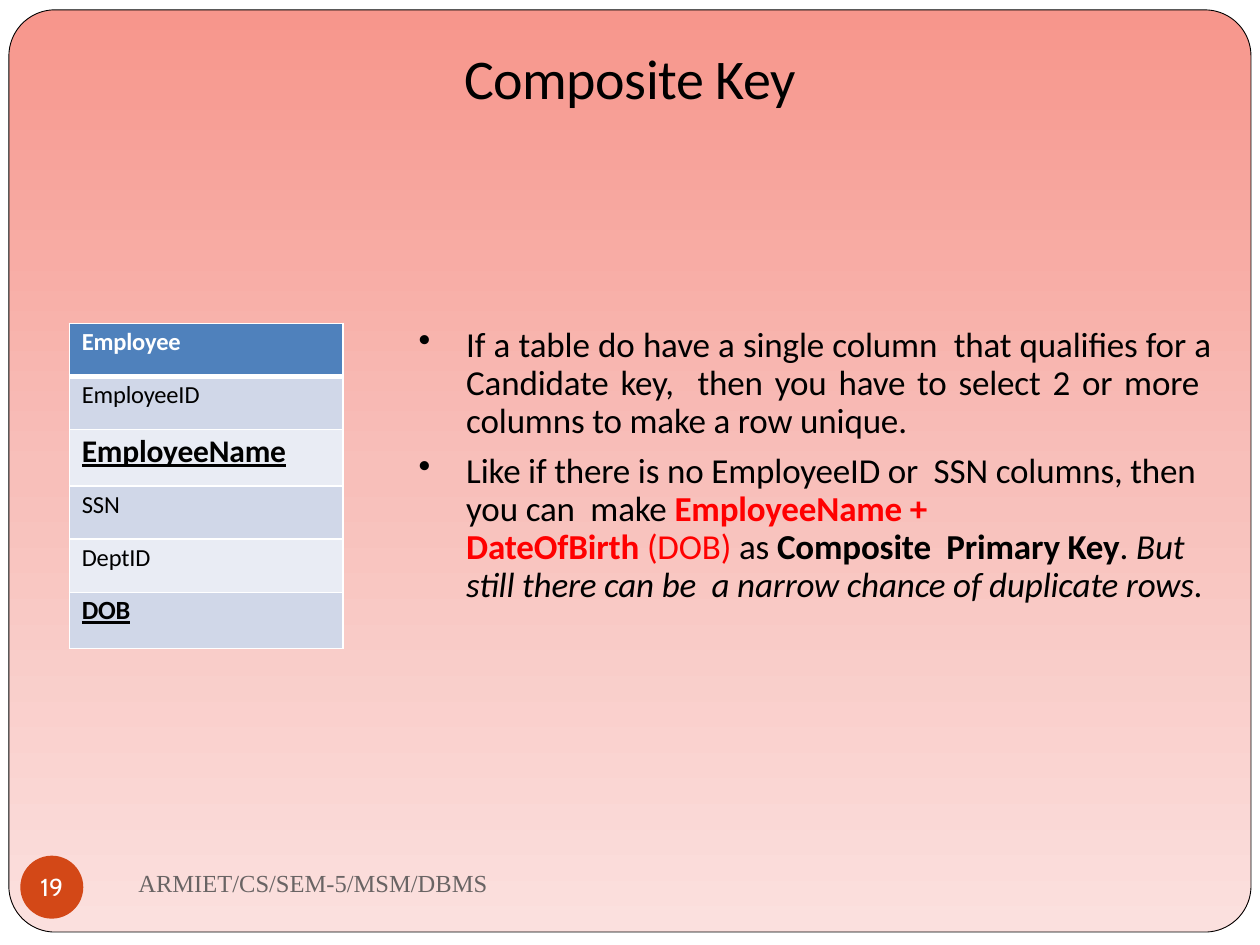
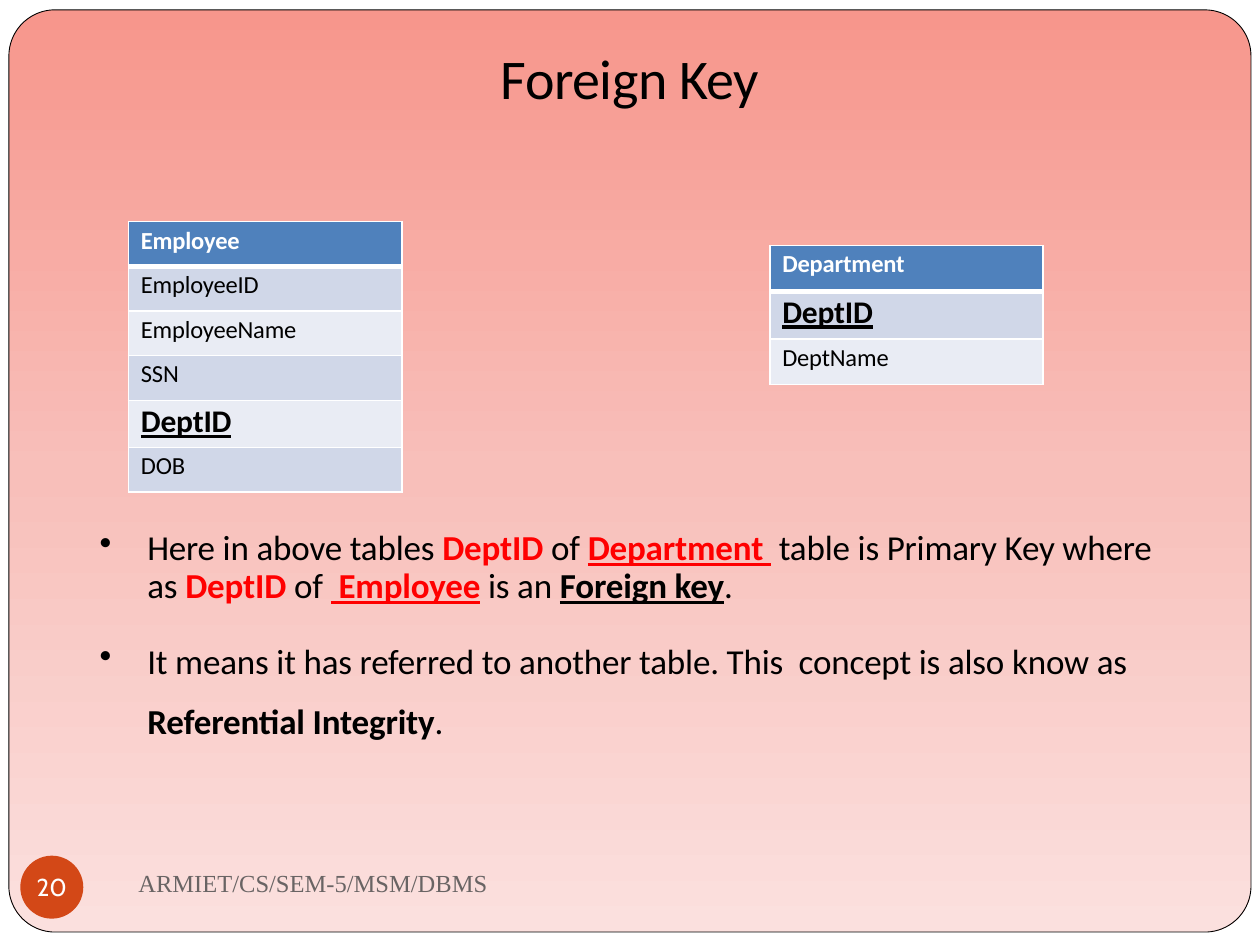
from copy import deepcopy

from lxml.etree import SubElement
from pptx import Presentation
from pptx.dml.color import RGBColor
from pptx.enum.shapes import MSO_SHAPE
from pptx.enum.text import MSO_ANCHOR, PP_ALIGN
from pptx.oxml.ns import qn
from pptx.util import Cm, Pt

BLACK = RGBColor(0x00, 0x00, 0x00)
WHITE = RGBColor(0xFF, 0xFF, 0xFF)
RED = RGBColor(0xFF, 0x00, 0x00)
GREY = RGBColor(0x69, 0x64, 0x64)
ORANGE = RGBColor(0xD3, 0x48, 0x17)
HEADER_BLUE = RGBColor(0x4F, 0x81, 0xBC)
BANDS = [RGBColor(0xD0, 0xD7, 0xE8), RGBColor(0xE9, 0xEC, 0xF4)]
GRADIENT = [
    (0, RGBColor(0xF7, 0x96, 0x8C)),
    (0.5, RGBColor(0xF8, 0xBF, 0xBA)),
    (1, RGBColor(0xFB, 0xE0, 0xDE)),
]

WIDTH, HEIGHT = 25.4, 19.05
COLUMN_WIDTH = 5.51
FOOTER = "ARMIET/CS/SEM-5/MSM/DBMS"

PLAIN = {}
BOLD = {"bold": True}
ITALIC = {"italic": True}
RED_PLAIN = {"color": RED}
RED_BOLD = {"color": RED, "bold": True}
RED_KEY = {"color": RED, "bold": True, "underline": True}
KEY = {"bold": True, "underline": True}

# Table rows: (text, height in cm, size of a key or None for an ordinary field)
SLIDES = [
    {
        "number": 19,
        "title": "Composite Key",
        "title_width": 14.43,
        "tables": [
            {"at": (1.4, 6.52), "rows": [
                ("Employee", 1.07, None),
                ("EmployeeID", 1.07, None),
                ("EmployeeName", 1.14, 18),
                ("SSN", 1.07, None),
                ("DeptID", 1.07, None),
                ("DOB", 1.14, 15),
            ]},
        ],
        "body_at": (8.41, 6.45, 16, 5.79),
        "body_inset": 0.15,
        "body": [
            ({"alignment": PP_ALIGN.JUSTIFY, "line_spacing": 0.9}, True, [
                ("If a table do have a single column  that qualifies for a Candidate key,  "
                 "then you have to select 2 or more  columns to make a row unique.", PLAIN),
            ]),
            ({"line_spacing": 0.9, "space_before": Pt(7.2)}, True, [
                ("Like if there is no EmployeeID or  SSN columns, then you can  make ", PLAIN),
                ("EmployeeName +", RED_BOLD),
            ]),
            ({"line_spacing": 0.9}, False, [
                ("DateOfBirth ", RED_BOLD),
                ("(DOB) ", RED_PLAIN),
                ("as ", PLAIN),
                ("Composite  Primary Key", BOLD),
                (". ", PLAIN),
                ("But still there can be  a narrow chance of duplicate rows", ITALIC),
                (".", PLAIN),
            ]),
        ],
    },
    {
        "number": 20,
        "title": "Foreign Key",
        "title_width": 11.28,
        "tables": [
            {"at": (2.59, 4.47), "rows": [
                ("Employee", 0.9, None),
                ("EmployeeID", 0.9, None),
                ("EmployeeName", 0.9, None),
                ("SSN", 0.9, None),
                ("DeptID", 0.95, 18),
                ("DOB", 0.9, None),
            ]},
            {"at": (15.52, 4.95), "rows": [
                ("Department", 0.92, None),
                ("DeptID", 0.96, 18),
                ("DeptName", 0.92, None),
            ]},
        ],
        "body_at": (1.98, 10.52, 21.82, 4.37),
        "body_inset": 0.18,
        "body": [
            ({"line_spacing": 0.9}, True, [
                ("Here in above tables ", PLAIN),
                ("DeptID ", RED_BOLD),
                ("of ", PLAIN),
                ("Department ", RED_KEY),
                (" table is Primary Key where as ", PLAIN),
                ("DeptID ", RED_BOLD),
                ("of ", PLAIN),
                (" Employee", RED_KEY),
                (" is an ", PLAIN),
                ("Foreign key", KEY),
                (".", PLAIN),
            ]),
            ({"line_spacing": Pt(34.6), "space_before": Pt(8.2)}, True, [
                ("It means it has referred to another table. This  concept is also know as ",
                 PLAIN),
                ("Referential Integrity", BOLD),
                (".", PLAIN),
            ]),
        ],
    },
]


def set_all(target, values):
    for name, value in values.items():
        setattr(target, name, value)


def add_span(para, text, size, name="Calibri", color=BLACK, spacing=0, **style):
    """Add a run; spacing is the letter spacing in hundredths of a point."""
    span = para.add_run()
    span.text = text
    set_all(span.font, {"size": Pt(size), "name": name, **style})
    span.font.color.rgb = color
    if spacing:
        span.font._element.set("spc", str(spacing))


def set_frame(frame, anchor, left=0, top=0, right=0, bottom=0, wrap=True):
    set_all(frame, {
        "word_wrap": wrap, "vertical_anchor": anchor,
        "margin_left": Cm(left), "margin_top": Cm(top),
        "margin_right": Cm(right), "margin_bottom": Cm(bottom),
    })


def add_text_box(page, at, anchor, **insets):
    frame = page.shapes.add_textbox(*map(Cm, at)).text_frame
    set_frame(frame, anchor, **insets)
    return frame


def add_panel(page):
    panel = page.shapes.add_shape(
        MSO_SHAPE.ROUNDED_RECTANGLE, Cm(0.18), Cm(0.2), Cm(25.04), Cm(18.59))
    panel.adjustments[0] = 0.05
    panel.shadow.inherit = False
    panel.line.color.rgb = BLACK
    panel.line.width = Pt(0.5)
    panel.fill.gradient()
    panel.fill.gradient_angle = 270
    stops = panel._element.spPr.find(".//" + qn("a:gsLst"))
    stops.insert(1, deepcopy(stops[0]))
    for stop, (position, color) in zip(panel.fill.gradient_stops, GRADIENT):
        stop.position = position
        stop.color.rgb = color


def add_footer(page, number):
    footer = add_text_box(page, (2.54, 17.15, 11, 1.27), MSO_ANCHOR.MIDDLE,
                          left=0.25, top=0.13, right=0.25, bottom=0.13)
    add_span(footer.paragraphs[0], FOOTER, 14, "Times New Roman", GREY)
    badge = page.shapes.add_shape(
        MSO_SHAPE.OVAL, Cm(0.41), Cm(17.25), Cm(1.27), Cm(1.27))
    badge.shadow.inherit = False
    badge.fill.solid()
    badge.fill.fore_color.rgb = ORANGE
    badge.line.fill.background()
    set_frame(badge.text_frame, MSO_ANCHOR.MIDDLE, wrap=False)
    para = badge.text_frame.paragraphs[0]
    para.alignment = PP_ALIGN.CENTER
    add_span(para, str(number), 14, "Cabin", WHITE)


def add_title(page, title, width):
    at = ((WIDTH - width) / 2, 0.84, width, 1.4)
    para = add_text_box(page, at, MSO_ANCHOR.BOTTOM, top=0.03).paragraphs[0]
    para.alignment = PP_ALIGN.CENTER
    add_span(para, title, 32, spacing=-30)


def set_borders(cell, row):
    """White edges, thick between the header and the first field."""
    thick = {0: "a:lnB", 1: "a:lnT"}.get(row)
    properties = cell._tc.get_or_add_tcPr()
    for position, tag in enumerate(("a:lnL", "a:lnR", "a:lnT", "a:lnB")):
        line = SubElement(properties, qn(tag), w=str(Pt(3 if tag == thick else 1)))
        color = SubElement(SubElement(line, qn("a:solidFill")), qn("a:srgbClr"))
        color.set("val", str(WHITE))
        properties.insert(position, line)


def add_field_table(page, at, rows):
    left, top = map(Cm, at)
    height = Cm(sum(row[1] for row in rows))
    table = page.shapes.add_table(
        len(rows), 1, left, top, Cm(COLUMN_WIDTH), height).table
    table.columns[0].width = Cm(COLUMN_WIDTH)
    for index, (text, row_height, key_size) in enumerate(rows):
        table.rows[index].height = Cm(row_height)
        cell = table.cell(index, 0)
        set_all(cell, {
            "margin_left": Cm(0.25), "margin_right": 0, "margin_bottom": 0,
            "margin_top": Cm(0.05 if key_size else 0.08),
        })
        is_header = index == 0
        cell.fill.solid()
        cell.fill.fore_color.rgb = HEADER_BLUE if is_header else BANDS[(index - 1) % 2]
        set_borders(cell, index)
        add_span(cell.text_frame.paragraphs[0], text, key_size or 14,
                 color=WHITE if is_header else BLACK, spacing=-10,
                 bold=is_header or bool(key_size), underline=bool(key_size))


def add_body(page, at, inset, paragraphs):
    frame = add_text_box(page, at, MSO_ANCHOR.TOP, top=inset)
    for index, (layout, has_bullet, spans) in enumerate(paragraphs):
        para = frame.add_paragraph() if index else frame.paragraphs[0]
        properties = para._p.get_or_add_pPr()
        properties.set("marL", str(Cm(0.99)))
        properties.set("indent", str(Cm(-0.96) if has_bullet else 0))
        if has_bullet:
            SubElement(properties, qn("a:buChar"), char="•")
        set_all(para, layout)
        for text, style in spans:
            add_span(para, text, 20, spacing=-10, **style)


def main():
    deck = Presentation()
    deck.slide_width, deck.slide_height = Cm(WIDTH), Cm(HEIGHT)
    for content in SLIDES:
        page = deck.slides.add_slide(deck.slide_layouts[6])
        page.background.fill.solid()
        page.background.fill.fore_color.rgb = WHITE
        add_panel(page)
        add_footer(page, content["number"])
        add_title(page, content["title"], content["title_width"])
        for table in content["tables"]:
            add_field_table(page, table["at"], table["rows"])
        add_body(page, content["body_at"], content["body_inset"], content["body"])
    deck.save("out.pptx")


if __name__ == "__main__":
    main()
